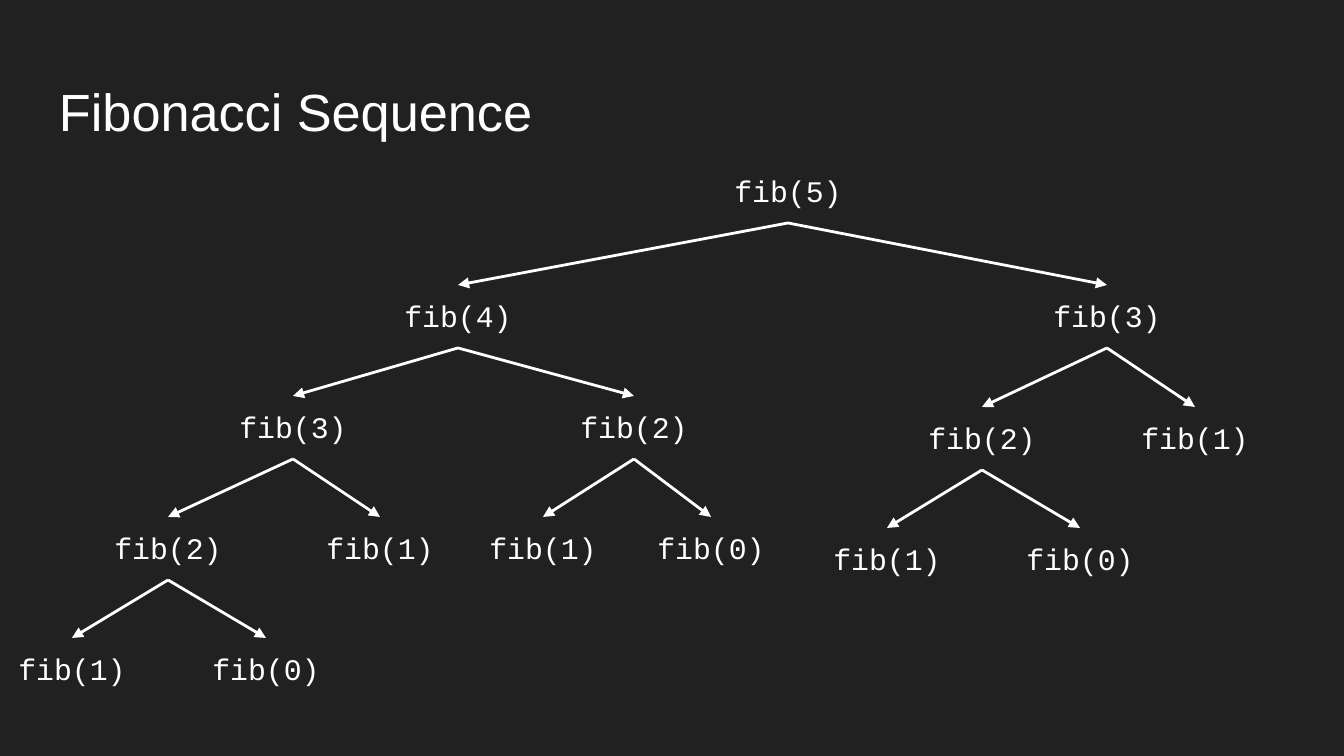
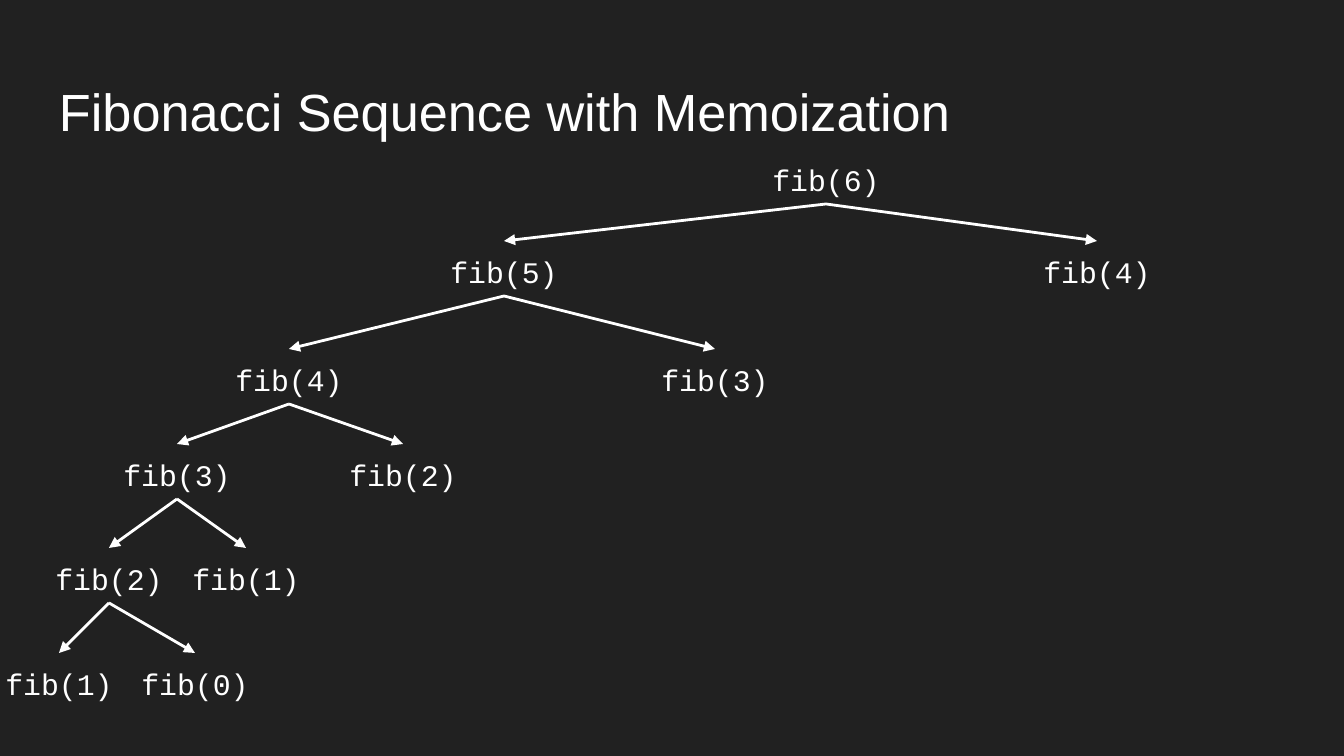
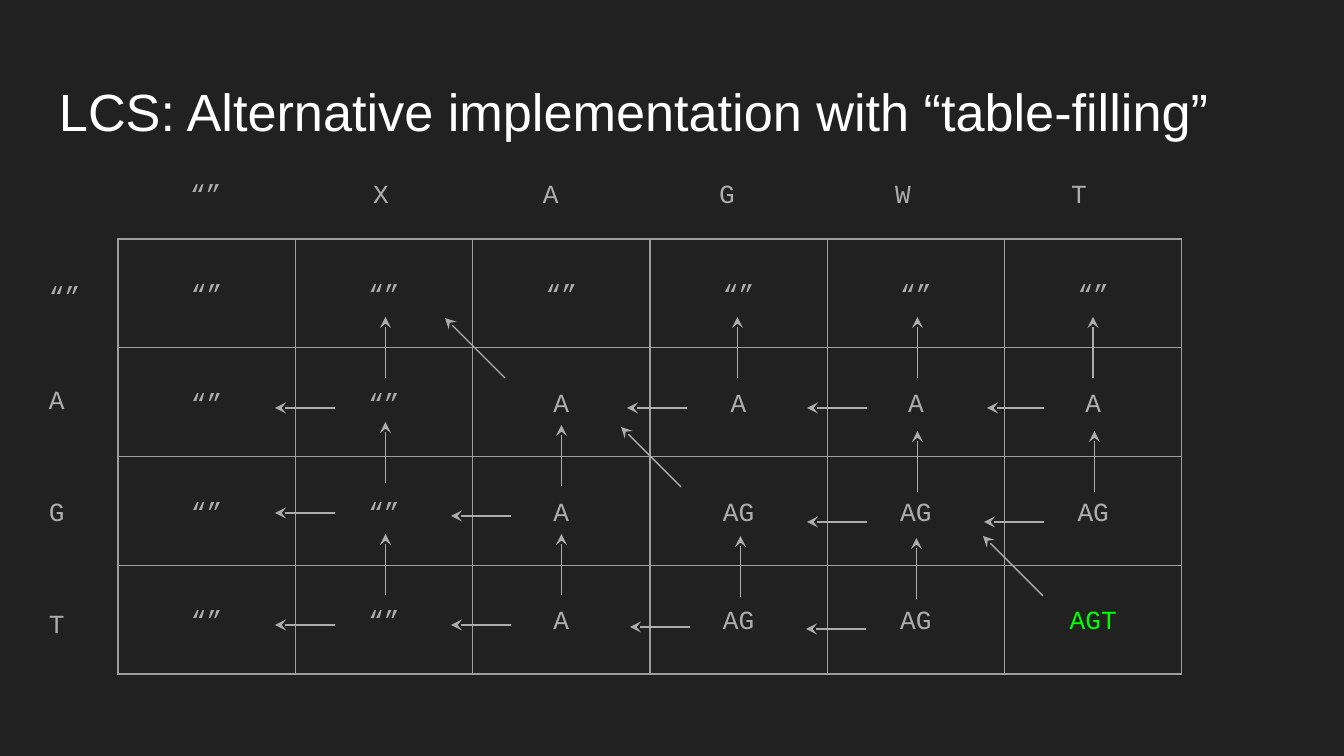
from lxml.etree import SubElement as Sub
from pptx import Presentation
from pptx.dml.color import RGBColor as Rgb
from pptx.enum.shapes import MSO_CONNECTOR as Conn
from pptx.enum.text import MSO_ANCHOR as Anchor, MSO_AUTO_SIZE as Fit, PP_ALIGN as Align
from pptx.oxml.ns import qn
from pptx.util import Pt

INK = {"back": "212121", "white": "FFFFFF", "gray": "ADADAD", "rule": "9E9E9E", "hit": "00FF00"}
SANS, MONO = "Arial", "Courier New"
EMPTY = "\u201c\u201d"


def px(size):
    return round(size * 914400 / 134.4)


class Deck:
    """Holds the shared style and the current slide."""

    def __init__(self):
        self.show = Presentation()
        self.show.slide_width, self.show.slide_height = px(1344), px(756)
        fill = self.show.slide_master.background.fill
        fill.solid()
        fill.fore_color.rgb = Rgb.from_string(INK["back"])

    def page(self, title):
        self.slide = self.show.slides.add_slide(self.show.slide_layouts[5])
        head = self.slide.shapes.title
        head.left, head.top, head.width, head.height = map(px, (46, 66, 1253, 85))
        self.label(head.text_frame, title, SANS, 28, "white")

    def label(self, frame, text, font, size, ink, align=Align.LEFT):
        frame.word_wrap = True
        frame.auto_size = Fit.NONE
        frame.vertical_anchor = Anchor.TOP
        frame.margin_left = frame.margin_right = px(13)
        frame.margin_top = frame.margin_bottom = px(13)
        self.add(frame.paragraphs[0], text, font, size, ink, align)

    def add(self, para, text, font, size, ink, align):
        para.alignment = align
        run = para.add_run()
        run.text = text
        run.font.name, run.font.size = font, Pt(size)
        run.font.color.rgb = Rgb.from_string(INK[ink])

    def text(self, box, text, size, ink, align=Align.LEFT):
        frame = self.slide.shapes.add_textbox(*map(px, box)).text_frame
        self.label(frame, text, MONO, size, ink, align)

    def arrow(self, start, end, ink="gray", width=0.75, tip="stealth"):
        line = self.slide.shapes.add_connector(Conn.STRAIGHT, *map(px, (*start, *end)))
        line.line.color.rgb = Rgb.from_string(INK[ink])
        line.line.width = Pt(width)
        props = line._element.spPr
        Sub(props.find(qn("a:ln")), qn("a:tailEnd"), type=tip)
        Sub(props, qn("a:effectLst"))

    def tree(self, n, node, wide, high):
        x, y, *kids = node
        tall = high if n > 1 else high * 1.57
        self.text((x - wide / 2, y, wide, tall), f"fib({n})", 16, "white", Align.CENTER)
        for step, kid in enumerate(kids, 1):
            self.arrow((x, y + high), kid[:2], "white", 1.5, "triangle")
            self.tree(n - step, kid, wide, high)

    def grid(self, box, rows):
        frame = self.slide.shapes.add_table(len(rows), len(rows[0]), *map(px, box))
        table = frame.table
        table.first_row = table.horz_banding = False
        for r, row in enumerate(rows):
            for c, word in enumerate(row):
                self.cell(table.cell(r, c), word)

    def cell(self, cell, word):
        cell.margin_left = cell.margin_right = cell.margin_bottom = px(13)
        cell.margin_top = px(43)
        props = cell._tc.get_or_add_tcPr()
        for side in "LRTB":
            line = Sub(props, qn(f"a:ln{side}"), w=str(Pt(0.75)))
            Sub(Sub(line, qn("a:solidFill")), qn("a:srgbClr"), val=INK["rule"])
        cell.fill.background()
        ink = "hit" if word == "AGT" else "gray"
        self.add(cell.text_frame.paragraphs[0], word, MONO, 14, ink, Align.CENTER)

    def steps(self, x, y, reach=60):
        self.arrow((x, y), (x - reach, y))
        up = x + reach / 2 + 20.5
        self.arrow((up, y - 30), (up, y - 91))


deck = Deck()

deck.page("Fibonacci Sequence")
left = (458, 285,
        (293, 396, (168, 517, (72, 638), (266, 638)), (380, 517)),
        (634, 396, (543, 517), (711, 517)))
right = (1107, 285, (982, 407, (887, 528), (1080, 528)), (1195, 407))
deck.tree(5, (788, 160, left, right), 149, 63)

deck.page("Fibonacci Sequence with Memoization")
node = (59, 653)
levels = [(109, 548, 195, 653), (177, 444, 246, 548), (289, 349, 403, 444),
          (504, 241, 715, 349), (826, 149, 1097, 241)]
for x, y, *leaf in levels:
    node = (x, y, node, leaf)
deck.tree(6, node, 144, 55)

deck.page("LCS: Alternative implementation with \u201ctable-filling\u201d")
deck.grid((118, 239, 1064, 435), [
    [EMPTY] * 6,
    [EMPTY] * 2 + ["A"] * 4,
    [EMPTY] * 2 + ["A"] + ["AG"] * 3,
    [EMPTY] * 2 + ["A", "AG", "AG", "AGT"],
])
for x, word in zip((177, 360, 530, 706, 882, 1058), (EMPTY, *"XAGWT")):
    deck.text((x, 164, 74, 60), word, 14, "gray")
for y, word in zip((266, 370, 482, 594), (EMPTY, *"AGT")):
    deck.text((36, y, 74, 60), word, 14, "gray")
for spot in ((335, 408), (687, 408), (867, 408), (1044, 408, 57),
             (335, 513), (511, 516), (867, 522), (1044, 522),
             (335, 625), (511, 625), (690, 627), (866, 629)):
    deck.steps(*spot)
for x, y in ((505, 378), (681, 487), (1043, 596)):
    deck.arrow((x, y), (x - 60, y - 60))

deck.show.save("out.pptx")
